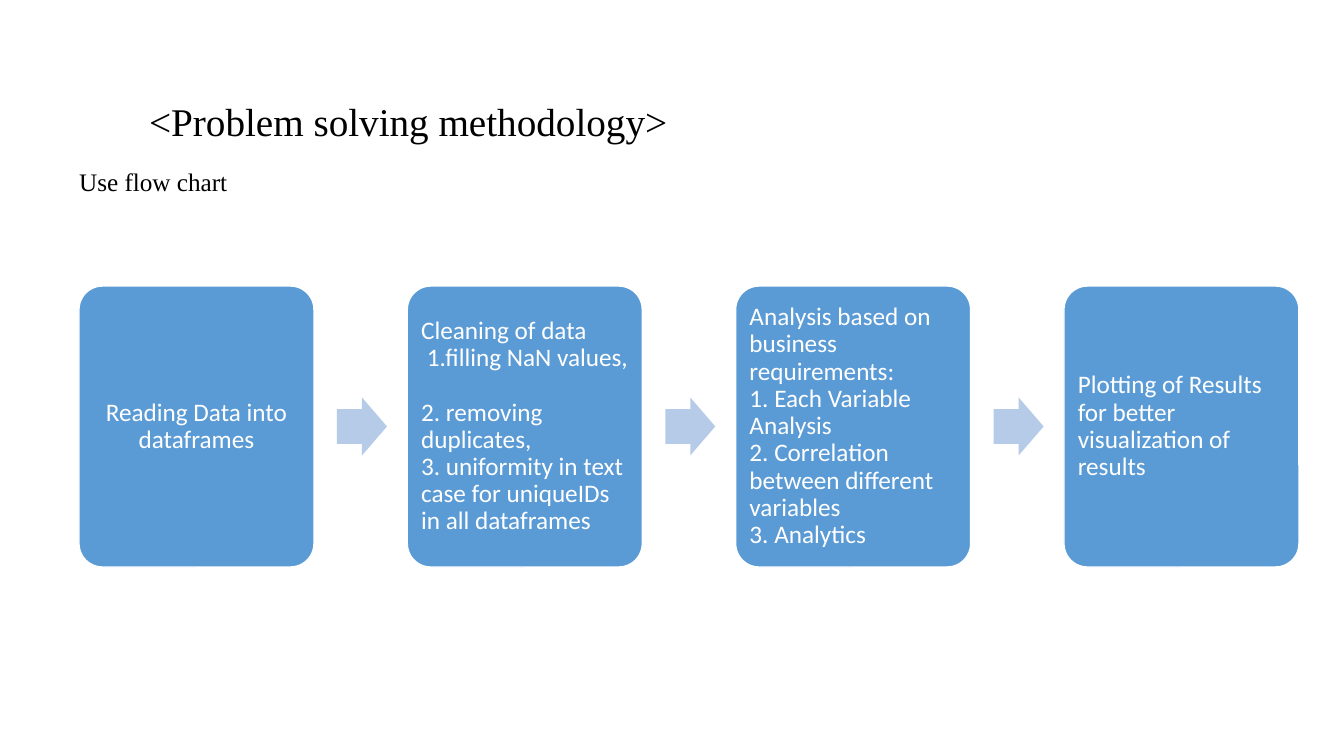
from lxml.etree import SubElement
from pptx import Presentation
from pptx.dml.color import RGBColor
from pptx.enum.shapes import MSO_SHAPE as SHAPE
from pptx.enum.text import MSO_ANCHOR as ANCHOR, PP_ALIGN as ALIGN
from pptx.oxml.ns import qn
from pptx.util import Pt

EMU_PER_PX = 914400 / 100.8
SERIF, SANS = "Times New Roman", "Calibri"
BLACK, WHITE, BLUE, PALE_BLUE = "000000", "FFFFFF", "5B9BD5", "B5CBE7"

STEPS = [
    (["Reading Data into dataframes"], ALIGN.CENTER),
    (["Cleaning of data", " 1.filling NaN values, ", "2. removing duplicates, ",
      "3. uniformity in text case for uniqueIDs in all dataframes"], ALIGN.LEFT),
    (["Analysis based on business requirements:", "1. Each Variable Analysis",
      "2. Correlation between different variables", "3. Analytics"], ALIGN.LEFT),
    (["Plotting of Results for better visualization of results"], ALIGN.LEFT),
]


def px(length):
    """Turn pixels into EMU."""
    return round(length * EMU_PER_PX)


def color(hex_code):
    """Turn a hex string into a colour."""
    return RGBColor.from_string(hex_code)


def add_run(paragraph, text, size, font, ink, bold=False):
    """Append one formatted run."""
    run = paragraph.add_run()
    run.text = text
    run.font.size, run.font.name, run.font.bold = Pt(size), font, bold
    run.font.color.rgb = color(ink)


def set_up(paragraph, align, space_before=0):
    """Set the alignment and spacing shared by all text."""
    paragraph.alignment = align
    paragraph.line_spacing = 0.9
    paragraph.space_before = Pt(space_before)


def place(placeholder, box):
    """Move a placeholder to a pixel box and return its first paragraph."""
    (placeholder.left, placeholder.top,
     placeholder.width, placeholder.height) = map(px, box)
    return placeholder.text_frame.paragraphs[0]


def fill_title(title, box):
    """Write the slide heading."""
    heading = place(title, box)
    title.text_frame.vertical_anchor = ANCHOR.MIDDLE
    set_up(heading, ALIGN.LEFT)
    add_run(heading, " ", 40, SERIF, BLACK, bold=True)
    add_run(heading, "<Problem solving methodology>", 28, SERIF, BLACK)


def fill_body(body, box):
    """Write the unbulleted line under the heading."""
    hint = place(body, box)
    body.text_frame.vertical_anchor = ANCHOR.TOP
    set_up(hint, ALIGN.LEFT, space_before=10)
    properties = hint._p.get_or_add_pPr()
    properties.set("marL", "0")
    properties.set("indent", "0")
    SubElement(properties, qn("a:buNone"))
    add_run(hint, "Use flow chart", 18, SERIF, BLACK)


def add_filled(slide, preset, box, fill, adjustments):
    """Add a shadowless preset shape with a plain fill."""
    shape = slide.shapes.add_shape(preset, *map(px, box))
    shape.shadow.inherit = False
    shape.fill.solid()
    shape.fill.fore_color.rgb = color(fill)
    shape.line.fill.background()
    for index, value in enumerate(adjustments):
        shape.adjustments[index] = value
    return shape


def add_step(slide, box, lines, align):
    """Add one rounded step card with its text."""
    card = add_filled(slide, SHAPE.ROUNDED_RECTANGLE, box, BLUE, [0.1])
    card.line.color.rgb = color(WHITE)
    card.line.width = Pt(1)
    frame = card.text_frame
    frame.word_wrap = True
    frame.vertical_anchor = ANCHOR.MIDDLE
    frame.margin_left = frame.margin_right = px(7)
    frame.margin_top = frame.margin_bottom = px(7)
    paragraph = frame.paragraphs[0]
    set_up(paragraph, align)
    for number, line in enumerate(lines):
        if number:
            paragraph.add_line_break()
        add_run(paragraph, line, 18, SANS, WHITE)


def add_flow(slide, box):
    """Spread the steps evenly over the box, with an arrow after all but the last."""
    left, top, width, height = box
    card_width, arrow_width, arrow_height, arrow_gap = 235, 50, 58, 23
    pitch = (width - card_width) / (len(STEPS) - 1)
    for index, (lines, align) in enumerate(STEPS):
        x = left + index * pitch
        add_step(slide, (x, top, card_width, height), lines, align)
        if index < len(STEPS) - 1:
            arrow_box = (x + card_width + arrow_gap,
                         top + (height - arrow_height) / 2,
                         arrow_width, arrow_height)
            add_filled(slide, SHAPE.RIGHT_ARROW, arrow_box, PALE_BLUE, [0.6, 0.5])


def build_slide(deck):
    """Add the methodology slide."""
    slide = deck.slides.add_slide(deck.slide_layouts[1])
    fill_body(slide.placeholders[1], (69, 165, 1231, 139))
    fill_title(slide.shapes.title, (125, 71, 1027, 95))
    add_flow(slide, (79, 286, 1220, 281))


deck = Presentation()
deck.slide_width, deck.slide_height = px(1344), px(756)
build_slide(deck)
deck.save("out.pptx")
